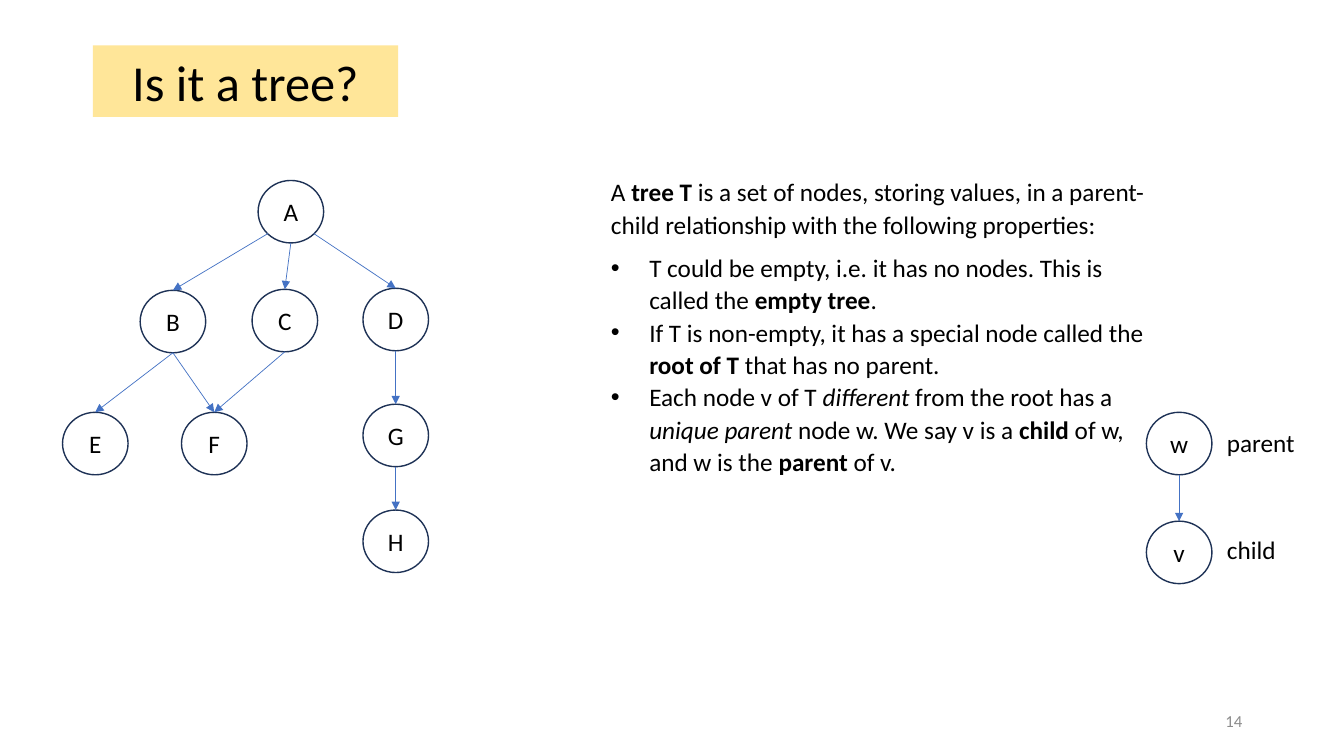
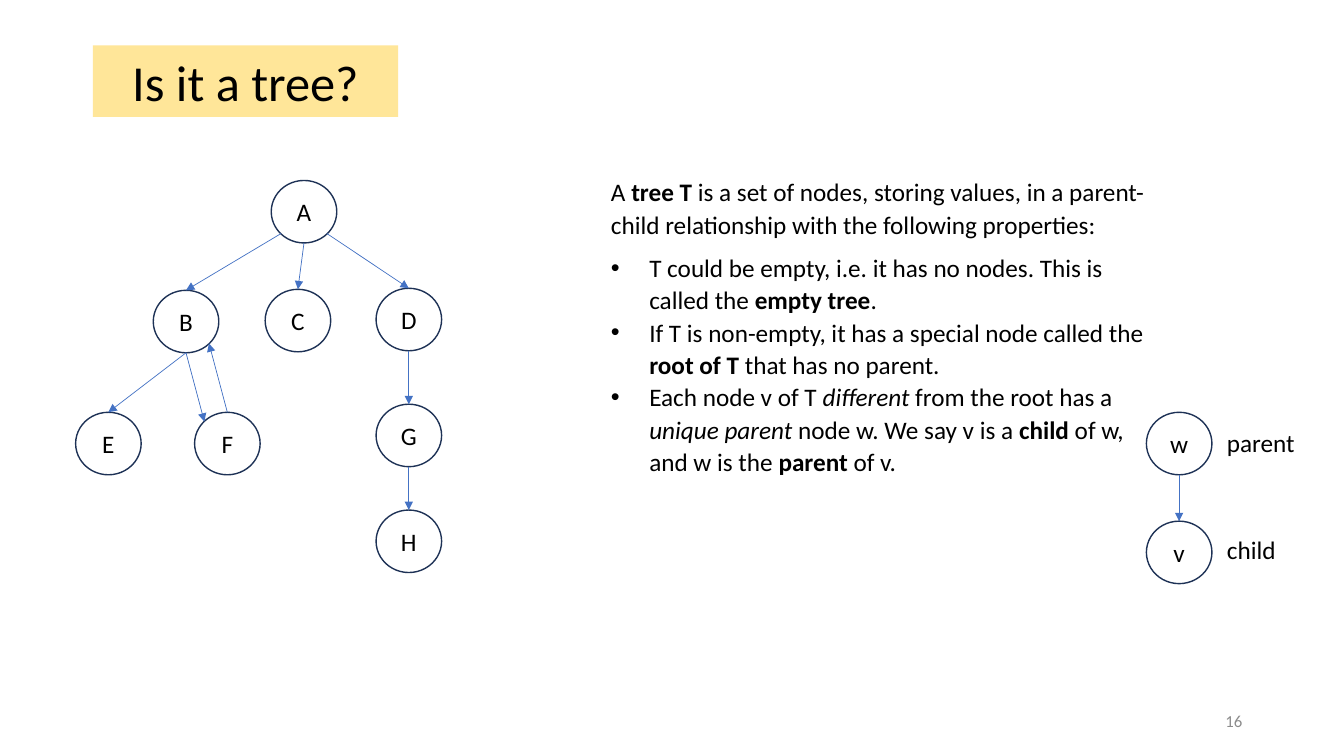
from collections import namedtuple

from lxml.etree import SubElement
from pptx import Presentation
from pptx.dml.color import RGBColor
from pptx.enum.shapes import MSO_CONNECTOR as Connector, MSO_SHAPE as Shape
from pptx.enum.text import MSO_ANCHOR as Anchor, MSO_AUTO_SIZE as AutoSize, PP_ALIGN as Align
from pptx.oxml.ns import qn
from pptx.util import Inches, Pt

BLACK = RGBColor(0x00, 0x00, 0x00)
GREY = RGBColor(0x8C, 0x8C, 0x8C)
YELLOW = RGBColor(0xFF, 0xE6, 0x99)
NAVY = RGBColor(0x1E, 0x32, 0x56)
BLUE = RGBColor(0x44, 0x72, 0xC4)
FONT = "Calibri"

Box = namedtuple("Box", "left top width height")
Site = namedtuple("Site", "index x y")
TOP = Site(0, 0.5, 0)
TOP_LEFT = Site(1, 0.15, 0.15)
BOTTOM_LEFT = Site(3, 0.15, 0.85)
BOTTOM = Site(4, 0.5, 1)
BOTTOM_RIGHT = Site(5, 0.85, 0.85)

NODE_WIDTH, NODE_HEIGHT = 0.65, 0.62
TITLE_BOX = Box(0.92, 0.45, 3.03, 0.71)
DEFINITION_BOX = Box(5.96, 1.68, 5.63, 3.12)
LEGEND_BOX = Box(11.37, 4.09, 1.58, 1.7)
NUMBER_BOX = Box(9.42, 6.95, 3, 0.4)

TREE_NODES = {
    "A": (1.94, 0), "B": (0.77, 1.09), "C": (1.88, 1.08), "D": (2.98, 1.07),
    "E": (0, 2.3), "F": (1.18, 2.3), "G": (2.98, 2.22), "H": (2.98, 3.27),
}
TREE_EDGES = [
    ("A", BOTTOM_LEFT, "B", TOP), ("A", BOTTOM, "C", TOP), ("A", BOTTOM_RIGHT, "D", TOP),
    ("B", BOTTOM, "E", TOP), ("D", BOTTOM, "G", TOP), ("G", BOTTOM, "H", TOP),
]
TWO_PARENTS = [("B", BOTTOM, "F", TOP), ("C", BOTTOM, "F", TOP)]
CYCLE = [("B", BOTTOM, "F", TOP_LEFT), ("F", TOP, "B", BOTTOM_RIGHT)]

INTRODUCTION = [
    ("A ", ""), ("tree T", "bold"),
    (" is a set of nodes, storing values, in a parent-child relationship"
     " with the following properties:", ""),
]
PROPERTIES = [
    [("T could be empty, i.e. it has no nodes. This is called the ", ""),
     ("empty tree", "bold"), (".", "")],
    [("If T is non-empty, it has a special node called the ", ""),
     ("root of T", "bold"), (" that has no parent.", "")],
    [("Each node v of T ", ""), ("different", "italic"), (" from the root has a ", ""),
     ("unique parent", "italic"), (" node w. We say v is a ", ""), ("child", "bold"),
     (" of w, and w is the ", ""), ("parent", "bold"), (" of v.", "")],
]


def place(shape, box):
    """Move a shape to a box given in inches."""
    shape.left, shape.top, shape.width, shape.height = map(Inches, box)


def style_font(font, size=18, color=BLACK):
    """Apply the shared typeface with a size and colour."""
    font.name = FONT
    font.size = Pt(size)
    font.color.rgb = color


def add_title(slide, text):
    """Fill the title placeholder as a yellow band."""
    title = slide.shapes.title
    place(title, TITLE_BOX)
    title.fill.solid()
    title.fill.fore_color.rgb = YELLOW
    frame = title.text_frame
    frame.text = text
    frame.auto_size = AutoSize.NONE
    frame.vertical_anchor = Anchor.MIDDLE
    frame.paragraphs[0].alignment = Align.CENTER
    style_font(frame.paragraphs[0].runs[0].font, 36)


def add_label(slide, box, text, size=18, color=BLACK, align=Align.LEFT, wrap=False):
    """Add a one-line text box."""
    label = slide.shapes.add_textbox(*map(Inches, box))
    frame = label.text_frame
    frame.text = text
    frame.word_wrap = wrap
    frame.vertical_anchor = Anchor.MIDDLE
    frame.paragraphs[0].alignment = align
    style_font(frame.paragraphs[0].runs[0].font, size, color)


def add_node(slide, left, top, name):
    """Add a circled node letter."""
    node = slide.shapes.add_shape(
        Shape.OVAL, *map(Inches, (left, top, NODE_WIDTH, NODE_HEIGHT)))
    node.shadow.inherit = False
    node.fill.background()
    node.line.color.rgb = NAVY
    node.line.width = Pt(1)
    frame = node.text_frame
    frame.text = name
    frame.word_wrap = False
    frame.vertical_anchor = Anchor.MIDDLE
    frame.margin_left = frame.margin_right = frame.margin_top = frame.margin_bottom = 0
    frame.paragraphs[0].alignment = Align.CENTER
    style_font(frame.paragraphs[0].runs[0].font)
    return node


def site_point(node, site):
    """Return the position of a connection site on a node."""
    return (int(node.left + node.width * site.x), int(node.top + node.height * site.y))


def add_edge(slide, parent, parent_site, child, child_site):
    """Join two nodes with an arrow between connection sites."""
    edge = slide.shapes.add_connector(Connector.STRAIGHT, 0, 0, 0, 0)
    edge.begin_connect(parent, 0)
    edge.end_connect(child, 0)
    ends = edge.element.nvCxnSpPr.cNvCxnSpPr
    ends.find(qn("a:stCxn")).set("idx", str(parent_site.index))
    ends.find(qn("a:endCxn")).set("idx", str(child_site.index))
    edge.begin_x, edge.begin_y = site_point(parent, parent_site)
    edge.end_x, edge.end_y = site_point(child, child_site)
    edge.line.color.rgb = BLUE
    edge.line.width = Pt(0.5)
    SubElement(edge.line._get_or_add_ln(), qn("a:tailEnd"), type="triangle")
    SubElement(edge.element.spPr, qn("a:effectLst"))


def add_graph(slide, left, top, positions, edges):
    """Draw nodes and arrows relative to a top left corner."""
    nodes = {name: add_node(slide, left + x, top + y, name)
             for name, (x, y) in positions.items()}
    for parent, parent_site, child, child_site in edges:
        add_edge(slide, nodes[parent], parent_site, nodes[child], child_site)


def add_legend(slide, box):
    """Draw the parent and child example with its labels."""
    positions = {"w": (0, 0), "v": (0, 1.08)}
    add_graph(slide, box.left, box.top, positions, [("w", BOTTOM, "v", TOP)])
    for text, offset in (("parent", 0.1), ("child", 1.16)):
        add_label(slide, Box(box.left + 0.7, box.top + offset, 0.88, 0.4), text)


def write_paragraph(paragraph, segments, bulleted, space_after):
    """Write styled segments into a paragraph, bulleted or plain."""
    paragraph.line_spacing = 1.07
    paragraph.space_before = Pt(0)
    paragraph.space_after = Pt(space_after)
    properties = paragraph._p.get_or_add_pPr()
    indent = Inches(0.38) if bulleted else 0
    properties.set("marL", str(indent))
    properties.set("indent", str(-indent))
    if bulleted:
        SubElement(properties, qn("a:buFont"), typeface="Arial")
        SubElement(properties, qn("a:buChar"), char="•")
    else:
        SubElement(properties, qn("a:buNone"))
    for text, emphasis in segments:
        run = paragraph.add_run()
        run.text = text
        style_font(run.font)
        run.font.bold = emphasis == "bold"
        run.font.italic = emphasis == "italic"


def add_definition(slide, box):
    """Fill the body placeholder with the definition of a tree."""
    body = slide.placeholders[1]
    place(body, box)
    frame = body.text_frame
    frame.auto_size = AutoSize.NONE
    frame.vertical_anchor = Anchor.TOP
    write_paragraph(frame.paragraphs[0], INTRODUCTION, False, 8)
    for segments in PROPERTIES:
        space_after = 8 if segments is PROPERTIES[-1] else 0
        write_paragraph(frame.add_paragraph(), segments, True, space_after)


def add_tree_slide(presentation, number, tree_left, extra_edges):
    """Add a slide asking whether a graph is a tree."""
    slide = presentation.slides.add_slide(presentation.slide_layouts[1])
    add_title(slide, "Is it a tree?")
    add_definition(slide, DEFINITION_BOX)
    add_graph(slide, tree_left, 1.79, TREE_NODES, TREE_EDGES + extra_edges)
    add_legend(slide, LEGEND_BOX)
    add_label(slide, NUMBER_BOX, number, 12, GREY, Align.RIGHT, True)


def main():
    """Build and save the presentation."""
    presentation = Presentation()
    presentation.slide_width = Inches(13.33)
    presentation.slide_height = Inches(7.5)
    add_tree_slide(presentation, "14", 0.62, TWO_PARENTS)
    add_tree_slide(presentation, "16", 0.75, CYCLE)
    presentation.save("out.pptx")


if __name__ == "__main__":
    main()
